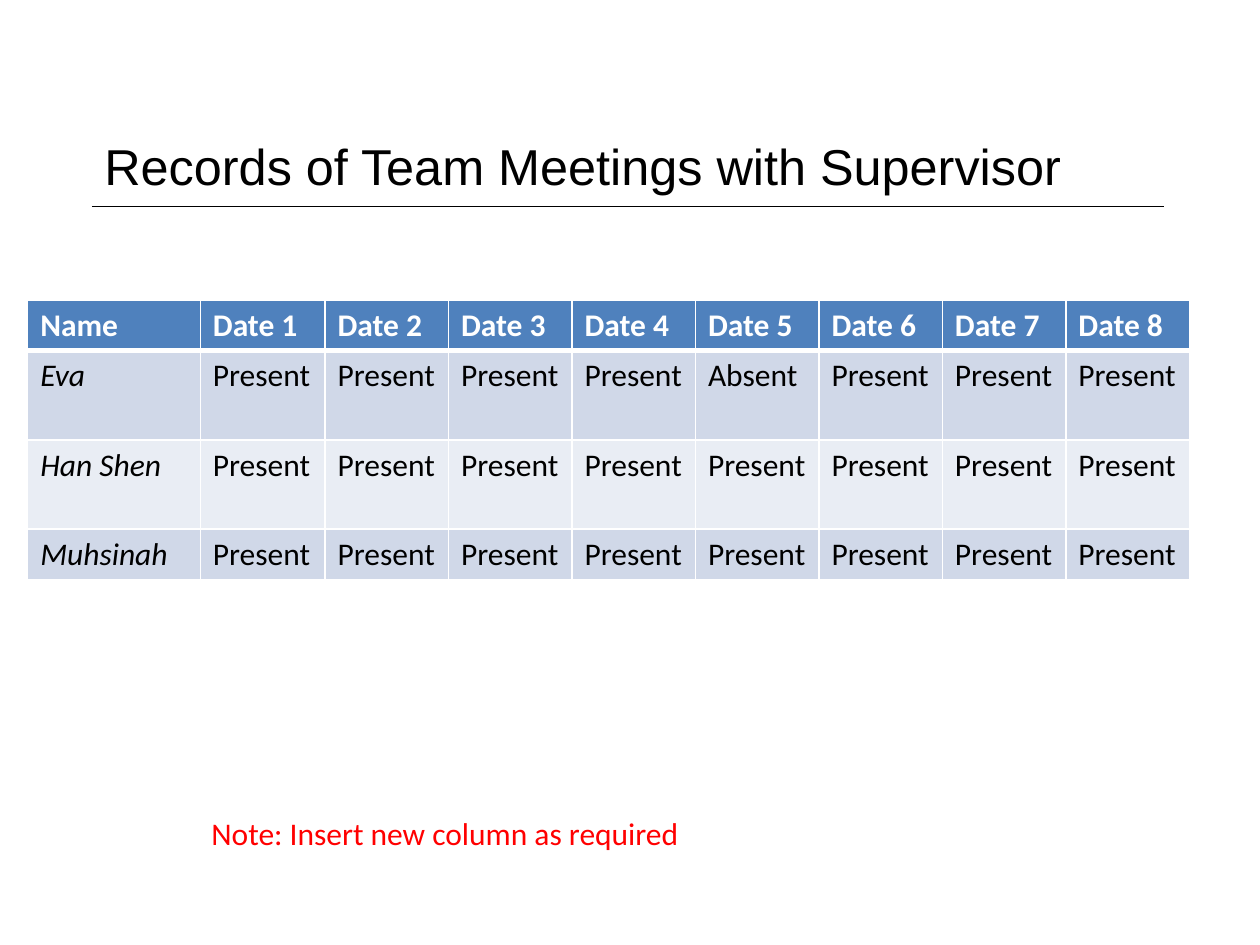
from pptx import Presentation
from pptx.dml.color import RGBColor
from pptx.enum.shapes import MSO_CONNECTOR
from pptx.enum.text import MSO_ANCHOR
from pptx.oxml.ns import qn
from pptx.util import Inches, Pt
from lxml import etree

STRAIGHT = MSO_CONNECTOR.STRAIGHT
MIDDLE = MSO_ANCHOR.MIDDLE

BLACK = RGBColor(0x00, 0x00, 0x00)
WHITE = RGBColor(0xFF, 0xFF, 0xFF)
RED = RGBColor(0xFF, 0x00, 0x00)
BLUE = RGBColor(0x4F, 0x81, 0xBD)
BANDS = [RGBColor(0xD0, 0xD8, 0xE8), RGBColor(0xE9, 0xED, 0xF4)]


def write(frame, text, size=18, color=BLACK, font="Calibri", bold=False, italic=False):
    run = frame.paragraphs[0].add_run()
    run.text = text
    run.font.name = font
    run.font.size = Pt(size)
    run.font.color.rgb = color
    run.font.bold = bold
    run.font.italic = italic


def edge(cell, side, width):
    """Draw one white cell border; side is L, R, T or B."""
    props = cell._tc.get_or_add_tcPr()
    line = etree.SubElement(props, qn(f"a:ln{side}"), w=str(Pt(width)))
    fill = etree.SubElement(line, qn("a:solidFill"))
    etree.SubElement(fill, qn("a:srgbClr"), val=str(WHITE))


prs = Presentation()
prs.slide_width = Inches(10)
prs.slide_height = Inches(7.5)
slide = prs.slides.add_slide(prs.slide_layouts[6])
shapes = slide.shapes

# Title and rule
rule = shapes.add_connector(STRAIGHT, Inches(0.73), Inches(1.64), Inches(9.24), Inches(1.64))
rule.line.color.rgb = BLACK
rule.line.width = Pt(0.25)
etree.SubElement(rule._element.spPr, qn("a:effectLst"))

title = shapes.add_textbox(Inches(0.73), Inches(0.98), Inches(8.51), Inches(0.66)).text_frame
title.word_wrap = True
title.vertical_anchor = MIDDLE
write(title, "Records of Team Meetings with Supervisor", size=28.8, font="Arial")

# Attendance table
dates = range(1, 9)
absent = {("Eva", 5)}
rows = [["Name"] + [f"Date {date}" for date in dates]]
for name in ["Eva", "Han Shen", "Muhsinah"]:
    rows.append([name] + ["Absent" if (name, date) in absent else "Present" for date in dates])
widths = [1.37, 0.99] + [0.98] * 7
heights = [0.4, 0.71, 0.71, 0.4]

table = shapes.add_table(len(rows), len(widths), Inches(0.22), Inches(2.38),
                         Inches(sum(widths)), Inches(sum(heights))).table
for col, width in zip(table.columns, widths):
    col.width = Inches(width)
for row, height in zip(table.rows, heights):
    row.height = Inches(height)

for r, row in enumerate(rows):
    head = r == 0
    for c, text in enumerate(row):
        cell = table.cell(r, c)
        cell.margin_right = Inches(0.05)
        write(cell.text_frame, text, color=WHITE if head else BLACK,
              bold=head, italic=c == 0 and not head)
        for side in "LRTB":
            thick = (head and side == "B") or (r == 1 and side == "T")
            edge(cell, side, 3 if thick else 1)
        cell.fill.solid()
        cell.fill.fore_color.rgb = BLUE if head else BANDS[(r - 1) % 2]

# Note
note = shapes.add_textbox(Inches(1.58), Inches(6.41), Inches(3.96), Inches(0.4)).text_frame
note.word_wrap = False
write(note, "Note: Insert new column as required", color=RED)

prs.save("out.pptx")
